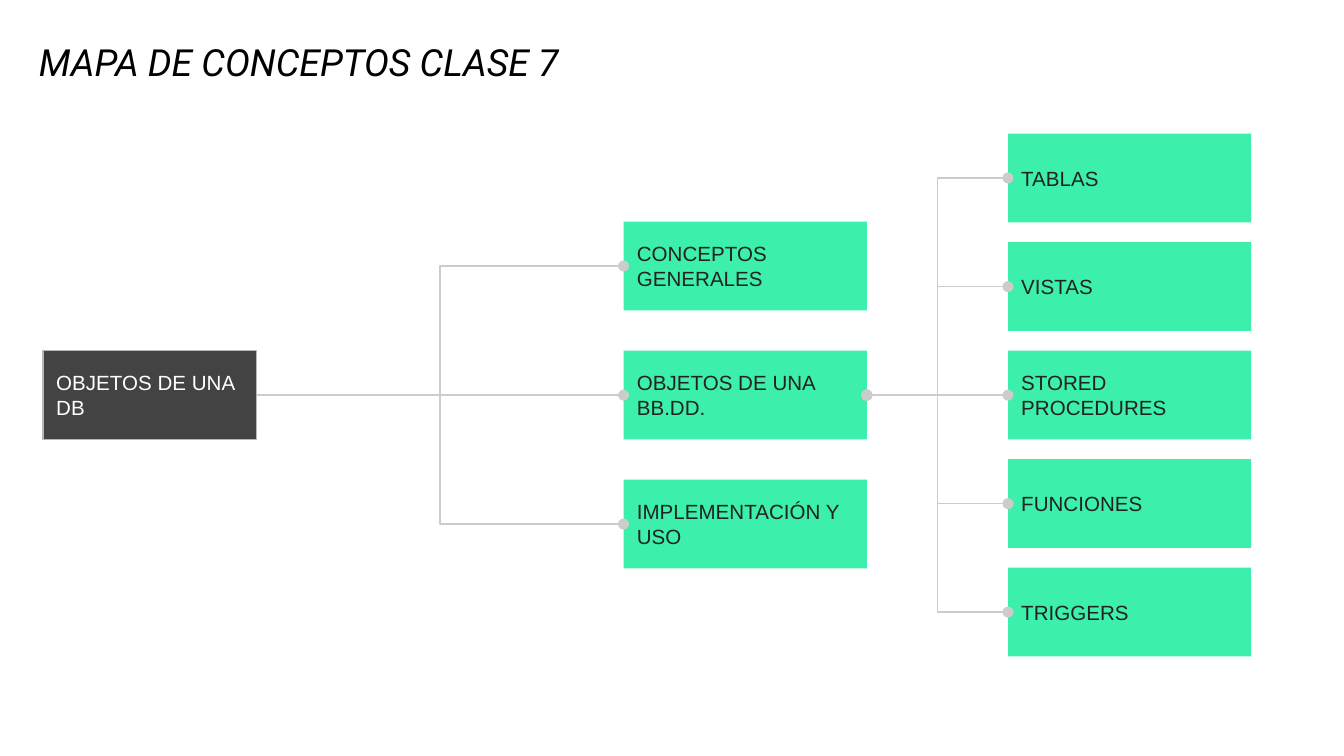
from dataclasses import dataclass

from lxml.etree import SubElement
from pptx import Presentation
from pptx.dml.color import RGBColor
from pptx.enum.shapes import MSO_CONNECTOR, MSO_SHAPE
from pptx.enum.text import MSO_ANCHOR, MSO_AUTO_SIZE, PP_ALIGN
from pptx.oxml.ns import qn
from pptx.util import Inches, Pt

# Content: each column of the concept map, left to right
TITLE = "MAPA DE CONCEPTOS CLASE 7"
COLUMNS = [
    {"left": 0.32, "width": 1.59, "span": 0, "style": "root",
     "labels": ["OBJETOS DE UNA DB"]},
    {"left": 4.64, "width": 1.81, "span": 1.92, "style": "concept",
     "labels": ["CONCEPTOS GENERALES", "OBJETOS DE UNA BB.DD.",
                "IMPLEMENTACIÓN Y USO"]},
    {"left": 7.5, "width": 1.81, "span": 3.23, "style": "concept",
     "labels": ["TABLAS", "VISTAS", "STORED PROCEDURES", "FUNCIONES",
                "TRIGGERS"]},
]
# Links: parent (column, row), child column, line ends with a dot
LINKS = [
    ((0, 0), 1, ["tailEnd"]),
    ((1, 1), 2, ["headEnd", "tailEnd"]),
]
SLIDE_WIDTH = 10
SLIDE_HEIGHT = SLIDE_WIDTH * 9 / 16
MIDDLE, BOX_HEIGHT = 2.94, 0.66
RIGHT_SIDE, LEFT_SIDE = 3, 1


@dataclass(frozen=True)
class Theme:
    title_color: str = "000000"
    title_font: str = "Roboto"
    title_size: int = 20
    link_color: str = "CCCCCC"
    box_font: str = "Arial"
    box_size: int = 11
    line_width: float = 0.75


THEME = Theme()
BOX_STYLES = {
    "root": {"fill": "434343", "line": "B7B7B7", "text": "FFFFFF"},
    "concept": {"fill": "3CEFAB", "line": None, "text": "222222"},
}


def set_all(target, values):
    for name, value in values.items():
        setattr(target, name, value)


def write_text(shape, text, frame_format, paragraph_format, font_format, color):
    frame = shape.text_frame
    frame.text = text
    set_all(frame, {"word_wrap": True, "auto_size": MSO_AUTO_SIZE.NONE,
                    **frame_format})
    paragraph = frame.paragraphs[0]
    set_all(paragraph, {"alignment": PP_ALIGN.LEFT, **paragraph_format})
    font = paragraph.runs[0].font
    set_all(font, font_format)
    font.color.rgb = RGBColor.from_string(color)


def set_line(line, color):
    line.color.rgb = RGBColor.from_string(color)
    line.width = Pt(THEME.line_width)


def add_box(slide, label, left, top, width, style):
    box = slide.shapes.add_shape(
        MSO_SHAPE.RECTANGLE, Inches(left), Inches(top),
        Inches(width), Inches(BOX_HEIGHT))
    box.shadow.inherit = False
    box.fill.solid()
    box.fill.fore_color.rgb = RGBColor.from_string(style["fill"])
    if style["line"]:
        set_line(box.line, style["line"])
    else:
        box.line.fill.background()
    margins = {f"margin_{side}": Inches(0.1)
               for side in ("left", "top", "right", "bottom")}
    write_text(box, label, {"vertical_anchor": MSO_ANCHOR.MIDDLE, **margins}, {},
               {"name": THEME.box_font, "size": Pt(THEME.box_size)},
               style["text"])
    return box


def add_column(slide, column):
    """Spread the boxes evenly over the span, centred on the middle line."""
    labels = column["labels"]
    first_top = MIDDLE - (BOX_HEIGHT + column["span"]) / 2
    pitch = column["span"] / max(len(labels) - 1, 1)
    return [add_box(slide, label, column["left"], first_top + row * pitch,
                    column["width"], BOX_STYLES[column["style"]])
            for row, label in enumerate(labels)]


def add_link(slide, parent, child, dotted_ends):
    link = slide.shapes.add_connector(MSO_CONNECTOR.ELBOW, 0, 0, 0, 0)
    link.begin_connect(parent, RIGHT_SIDE)
    link.end_connect(child, LEFT_SIDE)
    set_line(link.line, THEME.link_color)
    properties = link._element.spPr
    for end in dotted_ends:
        SubElement(properties.find(qn("a:ln")), qn(f"a:{end}"), type="oval")
    SubElement(properties, qn("a:effectLst"))


def main():
    presentation = Presentation()
    presentation.slide_width = Inches(SLIDE_WIDTH)
    presentation.slide_height = Inches(SLIDE_HEIGHT)
    slide = presentation.slides.add_slide(presentation.slide_layouts[0])
    subtitle = slide.placeholders[1]._element
    subtitle.getparent().remove(subtitle)

    # Title
    title = slide.shapes.title
    set_all(title, {"left": Inches(0.19), "top": Inches(0.22),
                    "width": Inches(8.26), "height": Inches(0.46)})
    write_text(title, TITLE, {"vertical_anchor": MSO_ANCHOR.BOTTOM},
               {"line_spacing": 0.9},
               {"name": THEME.title_font, "size": Pt(THEME.title_size),
                "italic": True}, THEME.title_color)

    # Boxes, then the links that join them
    boxes = [add_column(slide, column) for column in COLUMNS]
    for (column, row), child_column, dotted_ends in LINKS:
        for child in boxes[child_column]:
            add_link(slide, boxes[column][row], child, dotted_ends)

    presentation.save("out.pptx")


if __name__ == "__main__":
    main()
